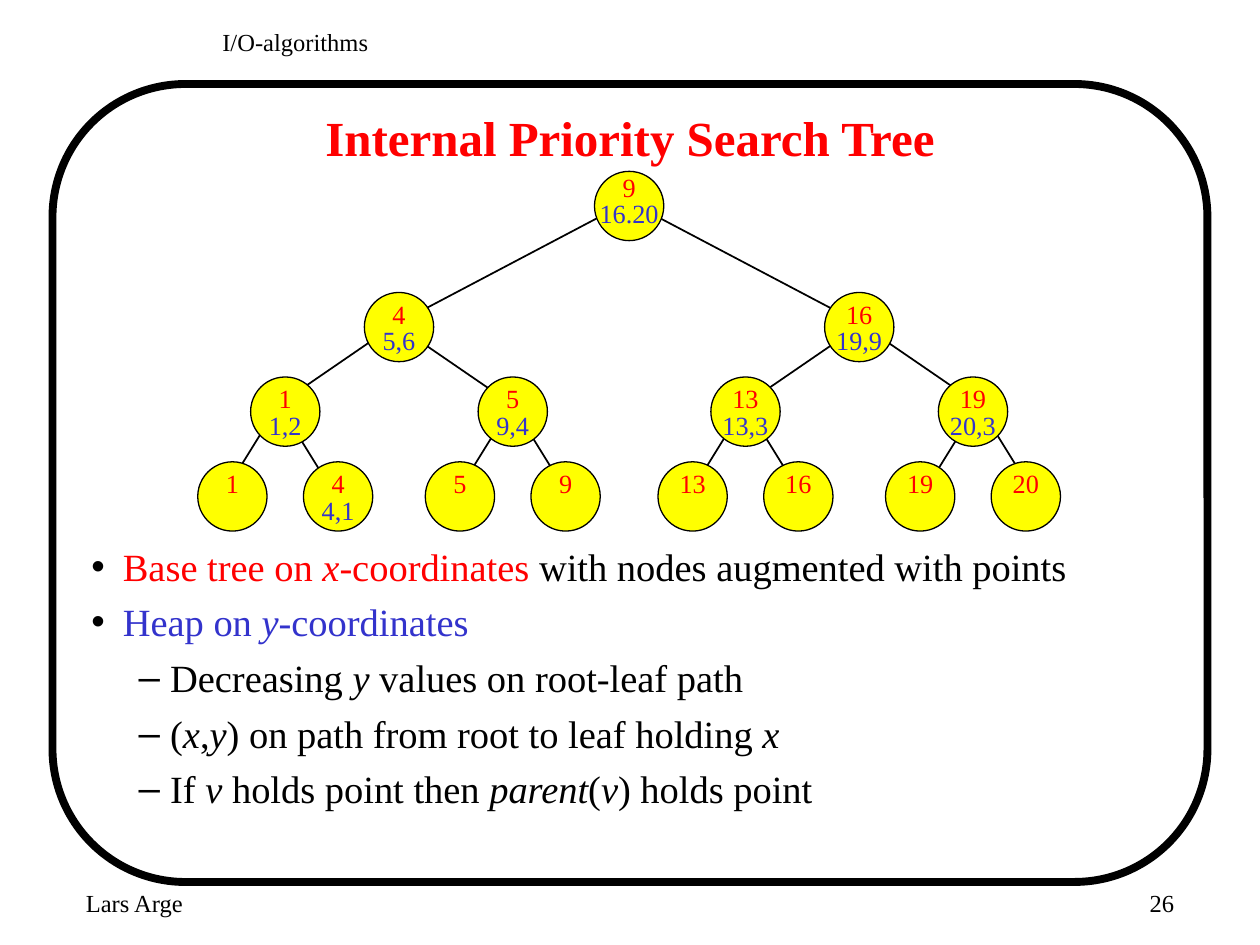
from dataclasses import dataclass

import pptx
import pptx.dml.color
import pptx.enum.shapes
import pptx.enum.text
import pptx.oxml
import pptx.oxml.ns
import pptx.util
from lxml import etree

Pt = pptx.util.Pt
RGB = pptx.dml.color.RGBColor
Align = pptx.enum.text.PP_ALIGN
Shape = pptx.enum.shapes.MSO_SHAPE
qn = pptx.oxml.ns.qn


@dataclass(frozen=True)
class Theme:
    font: str = "Times New Roman"
    black: RGB = RGB(0, 0, 0)
    red: RGB = RGB(0xFF, 0, 0)
    blue: RGB = RGB(0x33, 0x33, 0xCC)
    yellow: RGB = RGB(0xFF, 0xFF, 0)
    title: int = 28
    body: int = 22
    label: int = 15
    footer: int = 14


theme = Theme()


def write(paragraph, text, *, size, color=theme.black, bold=False, align=None):
    """Append text to a paragraph; parts between asterisks are italic."""
    if align is not None:
        paragraph.alignment = align
    for index, part in enumerate(text.split("*")):
        if part:
            run = paragraph.add_run()
            run.text = part
            run.font.name = theme.font
            run.font.size = Pt(size)
            run.font.color.rgb = color
            run.font.bold = bold
            run.font.italic = index % 2 == 1


def add_outlined(kind, left, top, width, height, line_width):
    outlined = slide.shapes.add_shape(kind, Pt(left), Pt(top), Pt(width), Pt(height))
    outlined.shadow.inherit = False
    outlined.line.color.rgb = theme.black
    outlined.line.width = Pt(line_width)
    return outlined


deck = pptx.Presentation()
deck.slide_width, deck.slide_height = Pt(720), Pt(540)
slide = deck.slides.add_slide(deck.slide_layouts[1])

# Frame
add_outlined(Shape.FLOWCHART_ALTERNATE_PROCESS, 30, 48, 660, 456, 4.5).fill.background()

# Header, author and page number
for text, left, top, width, height, align in [
    ("Lars Arge", 42, 504, 150, 36, Align.LEFT),
    ("I/O-algorithms", 120, 12, 474, 30, Align.LEFT),
    ("26", 528, 504, 150, 36, Align.RIGHT),
]:
    margin_note = slide.shapes.add_textbox(Pt(left), Pt(top), Pt(width), Pt(height)).text_frame
    margin_note.word_wrap = True
    write(margin_note.paragraphs[0], text, size=theme.footer, align=align)

# Title
heading = slide.shapes.title
heading.left, heading.top, heading.width, heading.height = Pt(54), Pt(54), Pt(612), Pt(48)
heading.text_frame.vertical_anchor = pptx.enum.text.MSO_ANCHOR.MIDDLE
write(heading.text_frame.paragraphs[0], "Internal Priority Search Tree",
      size=theme.title, color=theme.red, bold=True, align=Align.CENTER)

# Properties of the tree: level and coloured parts
properties = slide.placeholders[1]
properties.left, properties.top = Pt(45), Pt(306.5)
properties.width, properties.height = Pt(629.5), Pt(196)
properties.text_frame.auto_size = pptx.enum.text.MSO_AUTO_SIZE.NONE
statements = [
    (0, [("Base tree on *x*-coordinates", theme.red),
         (" with nodes augmented with points", theme.black)]),
    (0, [("Heap on *y*-coordinates", theme.blue)]),
    (1, [("Decreasing* y *values on root-leaf path", theme.black)]),
    (1, [("(*x*,*y*) on path from root to leaf holding *x*", theme.black)]),
    (1, [("If *v* holds point then *parent*(*v*) holds point", theme.black)]),
]
for index, (level, parts) in enumerate(statements):
    frame = properties.text_frame
    statement = frame.add_paragraph() if index else frame.paragraphs[0]
    statement.level = level
    statement.space_before = Pt(5.4)
    layout = statement._p.get_or_add_pPr()
    layout.set("marL", str(Pt(18 + 27 * level)))
    layout.set("indent", str(Pt(-18)))
    bullet_color = etree.SubElement(layout, qn("a:buClr"))
    etree.SubElement(bullet_color, qn("a:srgbClr"), val=str(theme.black))
    etree.SubElement(layout, qn("a:buChar"), char="•–"[level])
    for text, color in parts:
        write(statement, text, size=theme.body, color=color)

# Tree, level by level: x-coordinate and stored point
levels = [
    [("9", "16.20")],
    [("4", "5,6"), ("16", "19,9")],
    [("1", "1,2"), ("5", "9,4"), ("13", "13,3"), ("19", "20,3")],
    [("1", ""), ("4", "4,1"), ("5", ""), ("9", ""),
     ("13", ""), ("16", ""), ("19", ""), ("20", "")],
]
diameter = 39.6
node_y = [117.7, 186.9, 235.2, 283.7]
joint_y = [115.2, 185.4, 231.1, 284.4]


def centers(middle, half_gaps):
    """Centre x of every node, each pair spread evenly about its parent."""
    rows = [[middle]]
    for half_gap in half_gaps:
        rows.append([x + side * half_gap for x in rows[-1] for side in (-1, 1)])
    return rows


node_x = centers(359.5, [131.5, 65, 30.2])
joint_x = centers(359.2, [133.2, 66.6, 33])

# Edges
for depth in range(1, len(levels)):
    for index, x in enumerate(joint_x[depth]):
        edge = slide.shapes.add_connector(
            pptx.enum.shapes.MSO_CONNECTOR.STRAIGHT,
            Pt(joint_x[depth - 1][index // 2]), Pt(joint_y[depth - 1]),
            Pt(x), Pt(joint_y[depth]))
        edge.line.color.rgb = theme.black
        edge.line.width = Pt(1)
        etree.SubElement(edge._element.spPr, qn("a:effectLst"))

# Nodes and their labels
for depth, nodes in enumerate(levels):
    top = node_y[depth] - diameter / 2
    label_top = top + (3.3 if depth else 0)
    for x, (key, point) in zip(node_x[depth], nodes):
        node = add_outlined(Shape.OVAL, x - diameter / 2, top, diameter, diameter, 0.75)
        node.fill.solid()
        node.fill.fore_color.rgb = theme.yellow
        for text, color, y in [(key, theme.red, label_top), (point, theme.blue, label_top + 15.1)]:
            if not text:
                continue
            width = sum(7.5 if letter.isdigit() else 3.75 for letter in text)
            label = slide.shapes.add_textbox(Pt(x - width / 2), Pt(y), Pt(width), Pt(18)).text_frame
            label.margin_left = label.margin_right = label.margin_top = label.margin_bottom = 0
            label.word_wrap = False
            label.auto_size = pptx.enum.text.MSO_AUTO_SIZE.SHAPE_TO_FIT_TEXT
            write(label.paragraphs[0], text, size=theme.label, color=color, align=Align.CENTER)

deck.save("out.pptx")
